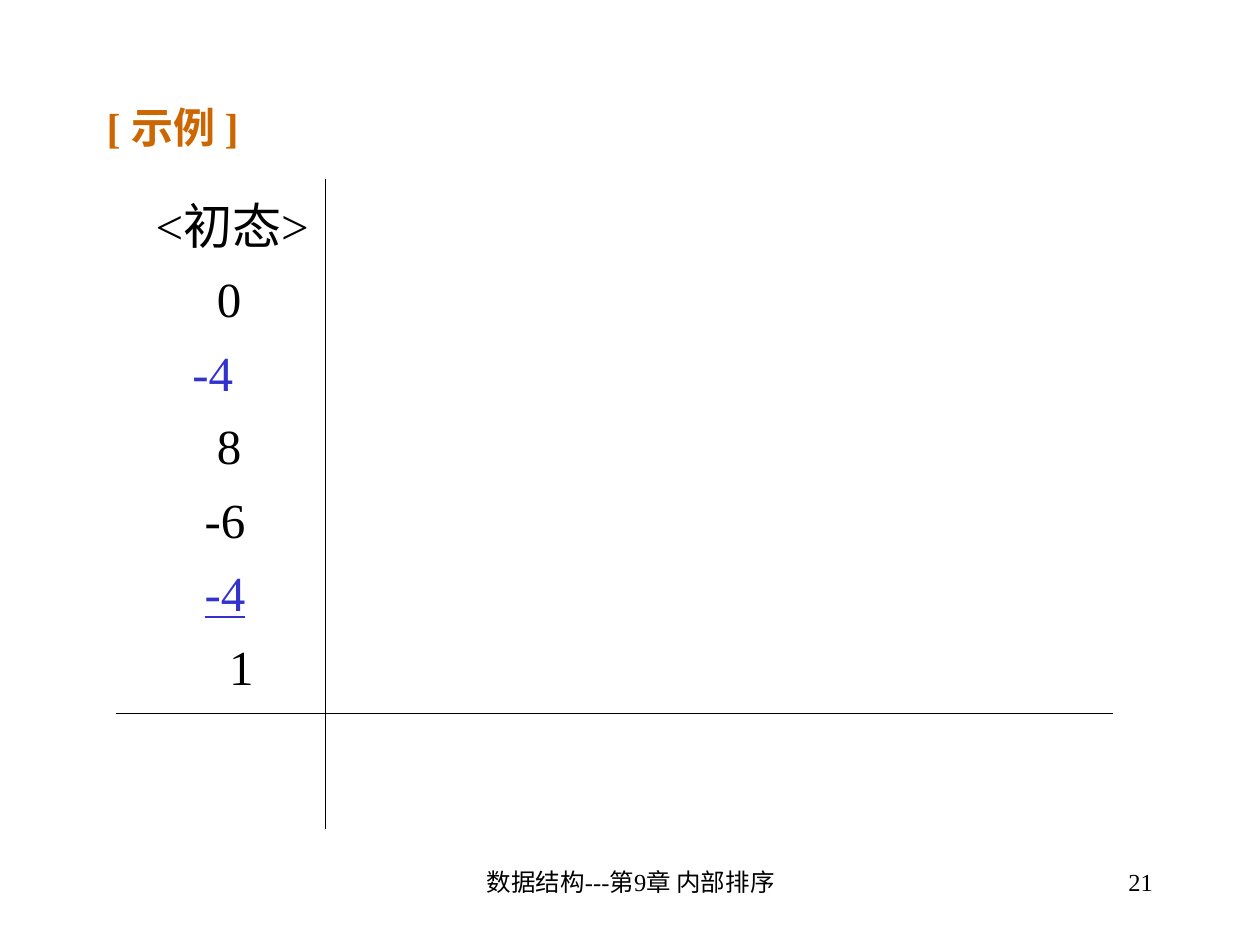
from dataclasses import dataclass

from lxml.etree import SubElement
from pptx import Presentation
from pptx.dml.color import RGBColor
from pptx.enum.shapes import MSO_CONNECTOR
from pptx.enum.text import MSO_ANCHOR, PP_ALIGN
from pptx.oxml.ns import qn
from pptx.slide import Slide
from pptx.text.text import TextFrame, _Paragraph
from pptx.util import Cm, Pt


@dataclass(frozen=True)
class Theme:
    font: str = "Times New Roman"
    ink: str = "000000"
    head: str = "CC6600"
    mark: str = "3333CC"
    small: int = 14
    title: int = 24
    body: int = 28
    gap: float = 8.4
    rule: float = 0.75


@dataclass(frozen=True)
class Box:
    left: float
    top: float
    width: float
    height: float


@dataclass(frozen=True)
class Label:
    text: str
    box: Box
    size: int
    color: str
    align: PP_ALIGN
    bold: bool = False
    anchor: MSO_ANCHOR = MSO_ANCHOR.TOP


@dataclass(frozen=True)
class Item:
    text: str
    shift: int  # indent in widths of a space
    color: str
    under: bool = False


@dataclass(frozen=True)
class Rule:
    x1: float
    y1: float
    x2: float
    y2: float


THEME = Theme()
SPACE = THEME.body / 4 * 2.54 / 72  # a space is a quarter em, in cm

LABELS = [
    Label("数据结构---第9章 内部排序", Box(8.69, 17.35, 8.05, 1.27),
          THEME.small, THEME.ink, PP_ALIGN.CENTER),
    Label("21", Box(18.21, 17.35, 5.28, 1.27),
          THEME.small, THEME.ink, PP_ALIGN.RIGHT),
    Label("[ 示例 ]", Box(1.9, 1.7, 21.6, 1.7), THEME.title, THEME.head,
          PP_ALIGN.LEFT, True, MSO_ANCHOR.MIDDLE),
]
ITEMS = [
    Item("<初态>", 4, THEME.ink),
    Item("0", 9, THEME.ink),
    Item("-4", 7, THEME.mark),
    Item("8", 9, THEME.ink),
    Item("-6", 8, THEME.ink),
    Item("-4", 8, THEME.mark, True),
    Item("1", 10, THEME.ink),
]
RULES = [Rule(2.33, 14.39, 22.44, 14.39), Rule(6.56, 3.6, 6.56, 16.72)]


def frame(slide: Slide, box: Box) -> TextFrame:
    shape = slide.shapes.add_textbox(
        Cm(box.left), Cm(box.top), Cm(box.width), Cm(box.height))
    shape.text_frame.word_wrap = True
    return shape.text_frame


def style(para: _Paragraph, size: int, color: str,
          bold: bool = False, under: bool = False) -> None:
    for run in para.runs:
        font = run.font
        font.name, font.size = THEME.font, Pt(size)
        font.bold, font.underline = bold, under
        font.color.rgb = RGBColor.from_string(color)


def label(slide: Slide, part: Label) -> None:
    text = frame(slide, part.box)
    text.text = part.text
    text.vertical_anchor = part.anchor
    para = text.paragraphs[0]
    para.alignment = part.align
    style(para, part.size, part.color, part.bold)


def column(slide: Slide, box: Box, items: list[Item]) -> None:
    text = frame(slide, box)
    for i, item in enumerate(items):
        para = text.add_paragraph() if i else text.paragraphs[0]
        para.text = item.text
        para._p.get_or_add_pPr().set("marL", str(Cm(item.shift * SPACE)))
        if i:
            para.space_before = Pt(THEME.gap)
        style(para, THEME.body, item.color, under=item.under)


def line(slide: Slide, rule: Rule) -> None:
    link = slide.shapes.add_connector(
        MSO_CONNECTOR.STRAIGHT,
        Cm(rule.x1), Cm(rule.y1), Cm(rule.x2), Cm(rule.y2))
    link.line.color.rgb = RGBColor.from_string(THEME.ink)
    link.line.width = Pt(THEME.rule)
    SubElement(link._element.spPr, qn("a:effectLst"))


def main() -> None:
    deck = Presentation()
    deck.slide_width, deck.slide_height = Cm(25.4), Cm(19.05)
    slide = deck.slides.add_slide(deck.slide_layouts[6])

    # Footer, page number and title
    for part in LABELS:
        label(slide, part)

    # Initial sequence
    column(slide, Box(1.9, 3.81, 21.6, 13.12), ITEMS)

    # Table rules
    for rule in RULES:
        line(slide, rule)

    deck.save("out.pptx")


if __name__ == "__main__":
    main()
